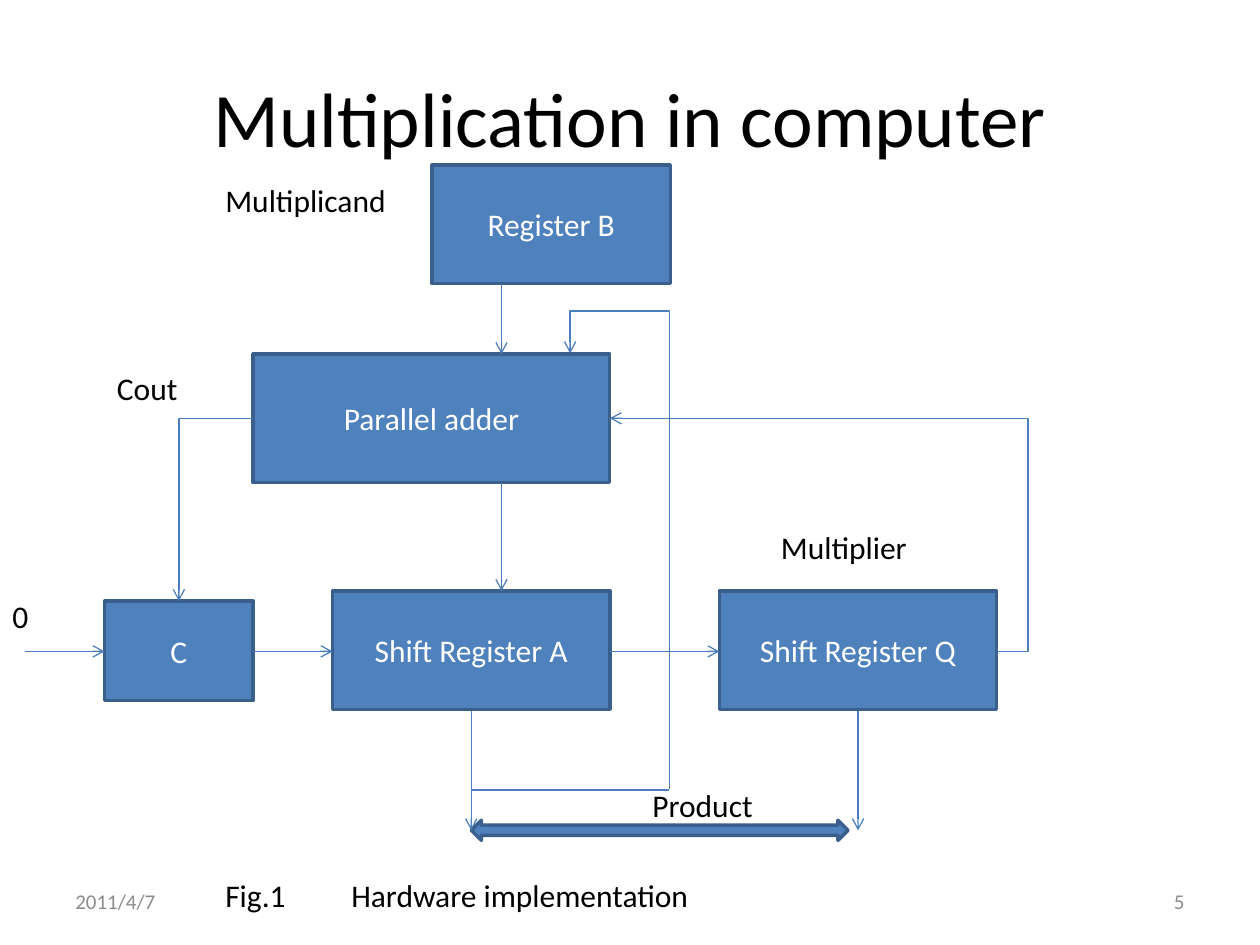
"""Build the slide showing the hardware for multiplication in a computer."""
from typing import NamedTuple, Optional

import pptx
import pptx.dml.color
import pptx.enum.shapes
import pptx.enum.text
import pptx.oxml.ns
import pptx.util
from lxml import etree

EMU_PER_PX = 9144
FONT = "Calibri"
BLACK = pptx.dml.color.RGBColor(0x00, 0x00, 0x00)
WHITE = pptx.dml.color.RGBColor(0xFF, 0xFF, 0xFF)
GRAY = pptx.dml.color.RGBColor(0x8C, 0x8C, 0x8C)
BLUE = pptx.dml.color.RGBColor(0x4F, 0x81, 0xBD)
BORDER = pptx.dml.color.RGBColor(0x3A, 0x5F, 0x8C)
WIRE = pptx.dml.color.RGBColor(0x4B, 0x7E, 0xBC)

SHAPES = pptx.enum.shapes.MSO_SHAPE
CONNECTORS = pptx.enum.shapes.MSO_CONNECTOR
ALIGN = pptx.enum.text.PP_ALIGN
ANCHOR = pptx.enum.text.MSO_ANCHOR
AUTO_SIZE = pptx.enum.text.MSO_AUTO_SIZE


class Block(NamedTuple):
    left: int
    top: int
    width: int
    height: int
    text: str = ""
    kind: int = SHAPES.RECTANGLE


class Label(NamedTuple):
    left: int
    top: int
    width: int
    text: str
    height: int = 40
    size: int = 18
    color: pptx.dml.color.RGBColor = BLACK
    align: int = ALIGN.LEFT
    anchor: int = ANCHOR.TOP
    fit: int = AUTO_SIZE.SHAPE_TO_FIT_TEXT


class Wire(NamedTuple):
    from_x: int
    from_y: int
    to_x: int
    to_y: int
    arrow: bool = True
    elbow: Optional[str] = None
    bend: Optional[int] = None
    turn: int = 0


FOOTER = {"size": 12, "color": GRAY, "anchor": ANCHOR.MIDDLE, "fit": AUTO_SIZE.NONE}

LABELS = [
    Label(50, 30, 900, "Multiplication in computer", 125, 44,
          align=ALIGN.CENTER, anchor=ANCHOR.MIDDLE, fit=AUTO_SIZE.NONE),
    Label(50, 695, 233, "2011/4/7", **FOOTER),
    Label(717, 695, 233, "5", align=ALIGN.RIGHT, **FOOTER),
    Label(610, 414, 134, "Multiplier"),
    Label(169, 139, 157, "Multiplicand"),
    Label(508, 619, 134, "Product"),
    Label(169, 690, 583, "Fig.1 \tHardware implementation"),
    Label(83, 288, 79, "Cout"),
    Label(0, 469, 79, "0"),
]

BLOCKS = [
    Block(343, 131, 189, 94, "Register B"),
    Block(201, 281, 283, 102, "Parallel adder"),
    Block(571, 469, 220, 94, "Shift Register Q"),
    Block(264, 469, 220, 94, "Shift Register A"),
    Block(83, 477, 118, 79, "C"),
    Block(374, 651, 299, 16, kind=SHAPES.LEFT_RIGHT_ARROW),
]

WIRES = [
    Wire(398, 225, 398, 281),
    Wire(398, 383, 398, 469),
    Wire(374, 564, 374, 659),
    Wire(681, 564, 681, 659),
    Wire(319, 493, 665, 414, elbow="bentConnector3", bend=109700, turn=270),
    Wire(531, 627, 374, 627, arrow=False),
    Wire(201, 517, 264, 517),
    Wire(201, 332, 142, 477, elbow="bentConnector2"),
    Wire(20, 517, 83, 517),
    Wire(484, 517, 571, 517),
    Wire(791, 517, 484, 332, elbow="bentConnector3", bend=-8100),
]


def px(*lengths: int) -> list[pptx.util.Emu]:
    return [pptx.util.Emu(length * EMU_PER_PX) for length in lengths]


def assign(target: object, values: dict) -> None:
    for name, value in values.items():
        setattr(target, name, value)


def write(shape, text: str, size: int, color, align: int, anchor: int) -> None:
    assign(shape.text_frame, {"word_wrap": True, "vertical_anchor": anchor})
    paragraph = shape.text_frame.paragraphs[0]
    paragraph.alignment = align
    run = paragraph.add_run()
    run.text = text
    assign(run.font, {"name": FONT, "size": pptx.util.Pt(size)})
    run.font.color.rgb = color


def draw_label(slide, label: Label) -> None:
    shape = slide.shapes.add_textbox(*px(label.left, label.top, label.width, label.height))
    write(shape, label.text, label.size, label.color, label.align, label.anchor)
    shape.text_frame.auto_size = label.fit


def draw_block(slide, block: Block) -> None:
    shape = slide.shapes.add_shape(block.kind, *px(*block[:4]))
    shape.shadow.inherit = False
    shape.fill.solid()
    shape.fill.fore_color.rgb = BLUE
    shape.line.color.rgb = BORDER
    shape.line.width = pptx.util.Pt(2)
    if block.text:
        write(shape, block.text, 18, WHITE, ALIGN.CENTER, ANCHOR.MIDDLE)


def draw_wire(slide, wire: Wire) -> None:
    qn = pptx.oxml.ns.qn
    kind = CONNECTORS.ELBOW if wire.elbow else CONNECTORS.STRAIGHT
    connector = slide.shapes.add_connector(kind, *px(*wire[:4]))
    connector.line.color.rgb = WIRE
    connector.line.width = pptx.util.Pt(0.75)
    properties = connector._element.spPr
    if wire.arrow:
        etree.SubElement(properties.find(qn("a:ln")), qn("a:tailEnd"), type="arrow")
    etree.SubElement(properties, qn("a:effectLst"))
    if wire.elbow:
        geometry = properties.find(qn("a:prstGeom"))
        geometry.set("prst", wire.elbow)
        if wire.bend is not None:
            etree.SubElement(geometry.find(qn("a:avLst")), qn("a:gd"),
                             name="adj1", fmla=f"val {wire.bend}")
    if wire.turn:
        properties.find(qn("a:xfrm")).set("rot", str(wire.turn * 60000))


def main() -> None:
    presentation = pptx.Presentation()
    width, height = px(1000, 750)
    assign(presentation, {"slide_width": width, "slide_height": height})
    slide = presentation.slides.add_slide(presentation.slide_layouts[6])
    for block in BLOCKS:
        draw_block(slide, block)
    for wire in WIRES:
        draw_wire(slide, wire)
    for label in LABELS:
        draw_label(slide, label)
    presentation.save("out.pptx")


if __name__ == "__main__":
    main()
